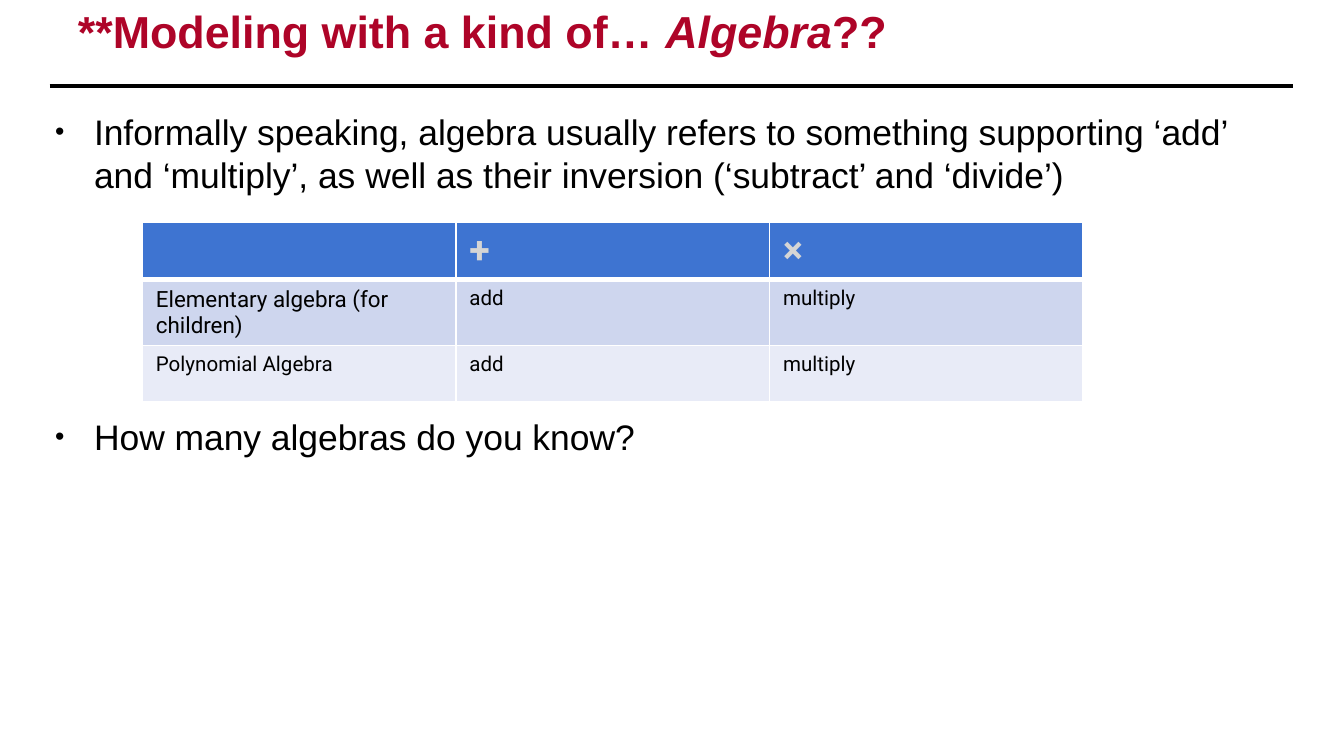
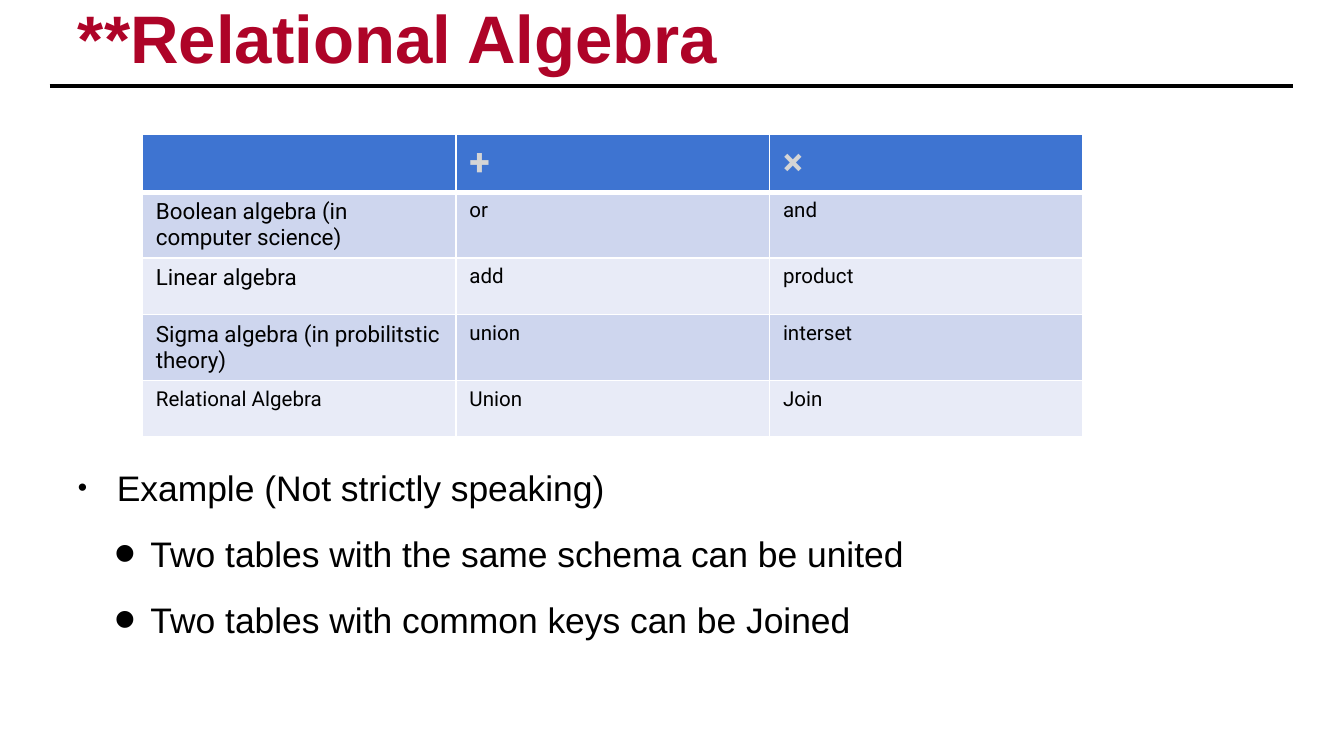
from lxml import etree
from pptx import Presentation
from pptx.dml.color import RGBColor
from pptx.enum.shapes import MSO_CONNECTOR
from pptx.enum.text import MSO_ANCHOR
from pptx.oxml.ns import qn
from pptx.util import Inches, Pt

LINE = MSO_CONNECTOR.STRAIGHT
TOP = MSO_ANCHOR.TOP
RED = RGBColor(0xAE, 0x04, 0x28)
BLACK = RGBColor(0, 0, 0)
WHITE = RGBColor(0xFF, 0xFF, 0xFF)
GREY = RGBColor(0xD5, 0xD5, 0xD5)
BLUE = RGBColor(0x3E, 0x74, 0xD1)
BANDS = (RGBColor(0xCE, 0xD6, 0xEE), RGBColor(0xE8, 0xEB, 0xF7))

WIDE = 10
HIGH = WIDE * 9 / 16
PAD = 0.03
LEFT = 1.06
COL = 7 / 3
HEAD, ROW = 0.43, 0.42
GAP = 12.5
SKIP = 118
LEVELS = ((0.29, 0.29, 75), (0.54, 0.27, 175))
SIGNS = ("", "+", "×")

PAGES = [
    {
        "title": [("**Modeling with a kind of… ", False), ("Algebra", True), ("??", False)],
        "size": 24,
        "top": 1.65,
        "rows": [
            ("Elementary algebra (for children)", "add", "multiply"),
            ("Polynomial Algebra", "add", "multiply"),
        ],
        "box": (0.38, 0.79, 9.24, 4.43),
        "items": [
            ("Informally speaking, algebra usually refers to something supporting ‘add’ "
             "and ‘multiply’, as well as their inversion (‘subtract’ and ‘divide’)", 0, 0),
            ("How many algebras do you know?", 0, SKIP),
        ],
    },
    {
        "title": [("**Relational Algebra", False)],
        "size": 36,
        "top": 1,
        "rows": [
            ("Boolean algebra (in computer science)", "or", "and"),
            ("Linear algebra", "add", "product"),
            ("Sigma algebra (in probilitstic theory)", "union", "interset"),
            ("Relational Algebra", "Union", "Join"),
        ],
        "box": (0.55, 3.44, 9.24, 1.94),
        "items": [
            ("Example (Not strictly speaking)", 0, 0),
            ("Two tables with the same schema can be united", 1, GAP),
            ("Two tables with common keys can be Joined", 1, GAP),
        ],
    },
]


def write(para, text, size=19, face="Arial", color=BLACK, bold=False, slant=False):
    run = para.add_run()
    run.text = text
    font = run.font
    font.size, font.name = Pt(size), face
    font.bold, font.italic = bold, slant
    font.color.rgb = color


def frame(slide, box, top=PAD):
    area = slide.shapes.add_textbox(*map(Inches, box)).text_frame
    area.word_wrap = True
    area.vertical_anchor = TOP
    area.margin_left = area.margin_right = area.margin_bottom = Inches(PAD)
    area.margin_top = Inches(top)
    return area


def bullet(para, level):
    left, hang, share = LEVELS[level]
    props = para._p.get_or_add_pPr()
    props.set("marL", str(Inches(left)))
    props.set("indent", str(-Inches(hang)))
    for tag, key, val in (("buSzPct", "val", share * 1000),
                          ("buFont", "typeface", "Arial"), ("buChar", "char", "•")):
        etree.SubElement(props, qn("a:" + tag)).set(key, str(val))


def border(cell, widths):
    props = cell._tc.get_or_add_tcPr()
    for side, width in zip("LRTB", widths):
        edge = etree.SubElement(props, qn("a:ln" + side), w=str(Pt(width)))
        fill = etree.SubElement(edge, qn("a:solidFill"))
        etree.SubElement(fill, qn("a:srgbClr"), val=str(WHITE))


def header(slide, parts, size):
    rule = slide.shapes.add_connector(
        LINE, Inches(0.37), Inches(0.64), Inches(9.62), Inches(0.64))
    rule.line.color.rgb = BLACK
    rule.line.width = Pt(2)
    etree.SubElement(rule._element.spPr, qn("a:effectLst"))
    para = frame(slide, (0.55, 0.1, 8.91, 0.49), top=0.04).paragraphs[0]
    para.line_spacing = 0.7
    for text, slant in parts:
        write(para, text, size=size, color=RED, bold=True, slant=slant)


def grid(slide, top, rows):
    data = [SIGNS] + rows
    last = len(rows)
    table = slide.shapes.add_table(
        len(data), len(SIGNS), Inches(LEFT), Inches(top),
        Inches(COL * len(SIGNS)), Inches(HEAD + ROW * last)).table
    table.first_row = table.horz_banding = False
    for col in table.columns:
        col.width = Inches(COL)
    for r, texts in enumerate(data):
        table.rows[r].height = Inches(ROW if r else HEAD)
        for c, text in enumerate(texts):
            cell = table.cell(r, c)
            cell.margin_bottom = Inches(0.04)
            border(cell, (1, 1, 3 if r == 1 else 1, 1 if r else 3))
            cell.fill.solid()
            cell.fill.fore_color.rgb = BANDS[(r - 1) % 2] if r else BLUE
            para = cell.text_frame.paragraphs[0]
            if r:
                size = 12 if c == 0 and r < last else 11
                write(para, text, size=size, face="Roboto")
            elif text:
                write(para, text, size=20, face="Roboto", color=GREY, bold=True)


def points(slide, box, items):
    area = frame(slide, box)
    for i, (text, level, gap) in enumerate(items):
        para = area.add_paragraph() if i else area.paragraphs[0]
        para.level = level
        para.line_spacing = 1.0
        para.space_before = Pt(gap)
        bullet(para, level)
        write(para, text)


def main():
    deck = Presentation()
    deck.slide_width, deck.slide_height = Inches(WIDE), Inches(HIGH)
    for page in PAGES:
        slide = deck.slides.add_slide(deck.slide_layouts[6])
        header(slide, page["title"], page["size"])
        points(slide, page["box"], page["items"])
        grid(slide, page["top"], page["rows"])
    deck.save("out.pptx")


if __name__ == "__main__":
    main()
